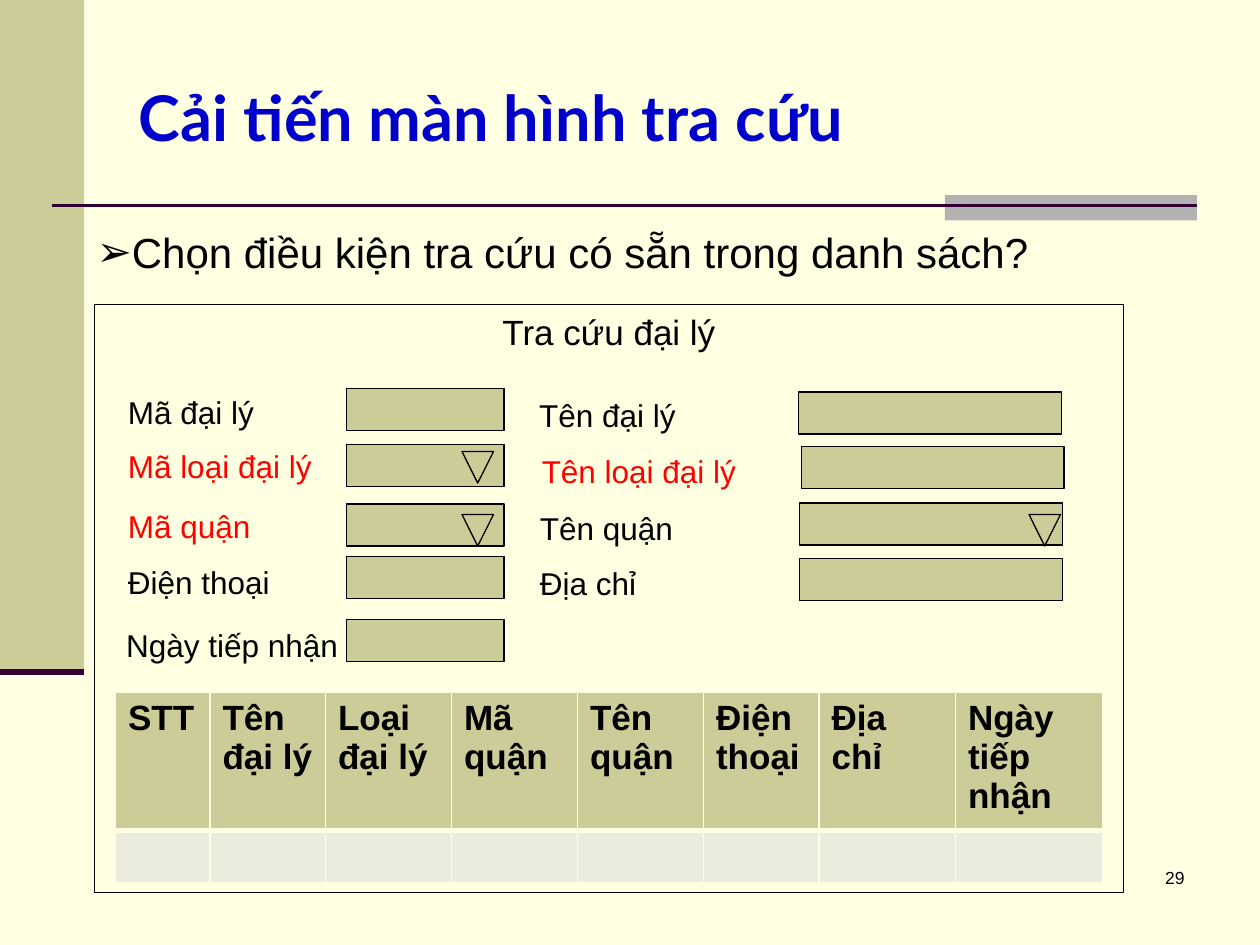
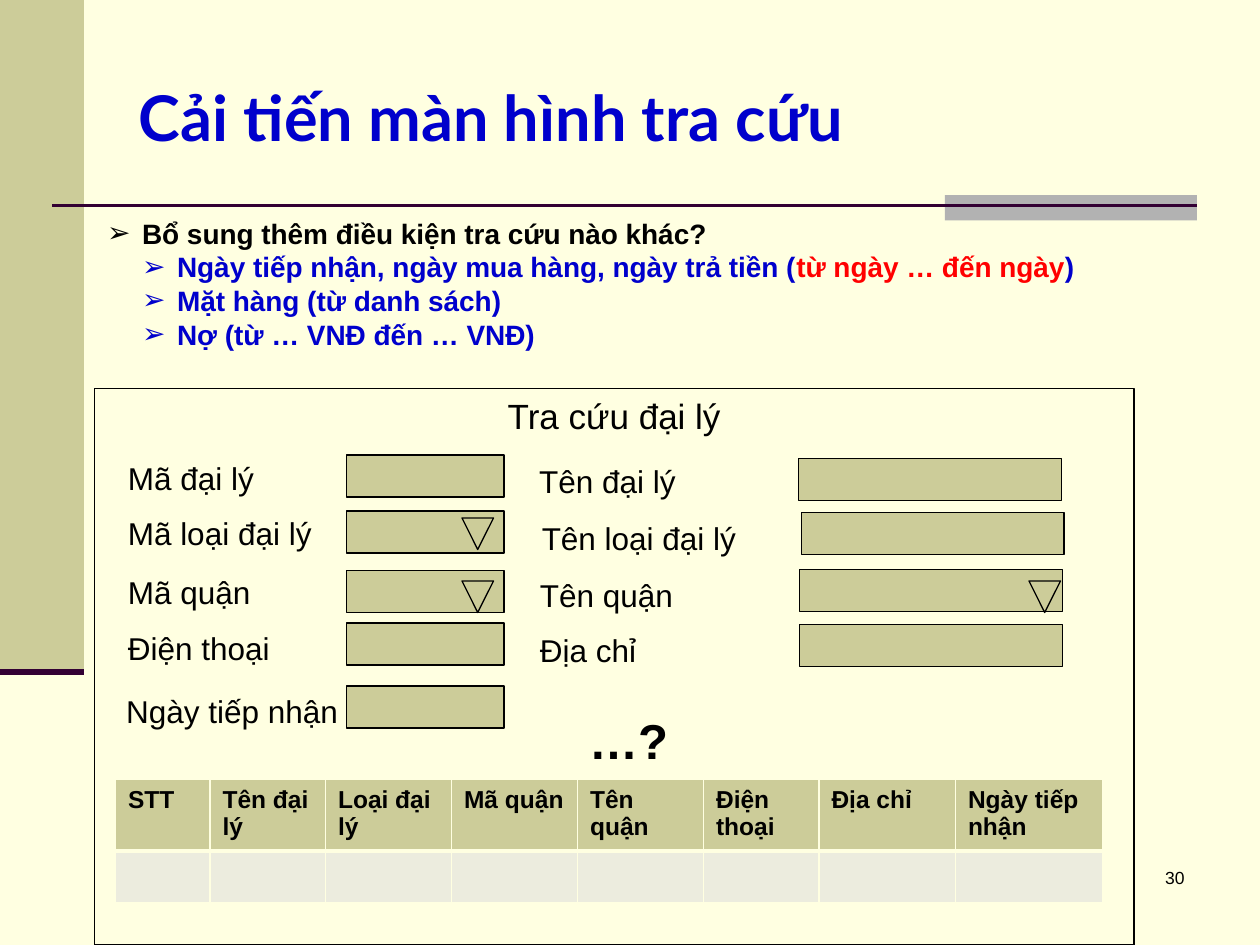
"""Build two slides on improving an agent lookup screen."""
import dataclasses
from typing import Any

import pptx
import pptx.dml.color
import pptx.enum.shapes
import pptx.enum.text
import pptx.oxml
import pptx.oxml.ns
import pptx.util

Pt = pptx.util.Pt
Kind = pptx.enum.shapes.MSO_SHAPE
Anchor = pptx.enum.text.MSO_ANCHOR
Align = pptx.enum.text.PP_ALIGN

COLORS = {
    "cream": "FFFFE1", "khaki": "CCCC99", "gray": "B2B2B2", "plum": "330033",
    "blue": "0000CC", "red": "FF0000", "black": "000000", "pale": "ECECDE",
}
TITLE_FORMAT = {"name": "Lato", "size": Pt(36), "bold": True}
HEADERS = ["STT", "Tên đại lý", "Loại đại lý", "Mã quận", "Tên quận",
           "Điện thoại", "Địa chỉ", "Ngày tiếp nhận"]
COLUMN_WIDTHS = [54, 66, 72, 72, 72, 66, 78, 84]
EMPTY_ROW_HEIGHT = 29.5
BULLET_INDENT = 20


@dataclasses.dataclass(frozen=True)
class Box:
    left: float
    top: float
    width: float
    height: float

    def lengths(self) -> list[int]:
        return [Pt(value) for value in dataclasses.astuple(self)]

    def lowered(self, distance: float) -> "Box":
        return dataclasses.replace(self, top=self.top + distance)


@dataclasses.dataclass(frozen=True)
class Field:
    label: str
    label_left: float
    label_top: float
    input_box: Box


@dataclasses.dataclass(frozen=True)
class Run:
    text: str
    color: str = "black"


@dataclasses.dataclass(frozen=True)
class Bullet:
    runs: list[Run]
    level: int = 0


@dataclasses.dataclass(frozen=True)
class Screen:
    number: int
    bullets: list[Bullet]
    bullet_box: Box
    bullet_size: float
    bullet_bold: bool
    panel: Box
    form_shift: float
    red_labels: tuple[str, ...]
    table_top: float
    header_height: float
    header_size: float


FIELDS = [
    Field("Mã đại lý", 66, 221, Box(198, 222, 90, 24)),
    Field("Mã loại đại lý", 66, 252, Box(198, 254, 90, 24)),
    Field("Mã quận", 66, 286, Box(198, 288, 90, 24)),
    Field("Điện thoại", 66, 318, Box(198, 318, 90, 24)),
    Field("Ngày tiếp nhận", 65, 354, Box(198, 354, 90, 24)),
    Field("Tên đại lý", 301, 222.5, Box(456.5, 224, 150, 24)),
    Field("Tên loại đại lý", 302.5, 255, Box(458, 255, 150, 24)),
    Field("Tên quận", 301.5, 287.5, Box(457, 287.5, 150, 24)),
    Field("Địa chỉ", 301.5, 319, Box(457, 319, 150, 24)),
]
DROPDOWN_ARROWS = [Box(264, 258, 18, 18), Box(264, 294, 18, 18), Box(588, 294, 18, 18)]

SCREENS = [
    Screen(
        29, [Bullet([Run("Chọn điều kiện tra cứu có sẵn trong danh sách?")])],
        Box(48, 126, 594, 36), 24, False, Box(54, 174, 588, 336), 0,
        ("Mã loại đại lý", "Tên loại đại lý", "Mã quận"), 395.5, 79, 20,
    ),
    Screen(
        30,
        [
            Bullet([Run("Bổ sung thêm điều kiện tra cứu nào khác?")]),
            Bullet([Run("Ngày tiếp nhận, ngày mua hàng, ngày trả tiền (", "blue"),
                    Run("từ ngày … đến ngày", "red"), Run(")", "blue")], 1),
            Bullet([Run("Mặt hàng (từ danh sách)", "blue")], 1),
            Bullet([Run("Nợ (từ … VNĐ đến … VNĐ)", "blue")], 1),
        ],
        Box(54, 120, 630, 85), 16, True, Box(54, 222, 594, 318), 38,
        (), 445.5, 40, 14,
    ),
]


def rgb(color: str) -> pptx.dml.color.RGBColor:
    return pptx.dml.color.RGBColor.from_string(COLORS[color])


def apply_format(target: Any, values: dict[str, Any]) -> None:
    for name, value in values.items():
        setattr(target, name, value)


def write_run(paragraph: Any, run: Run, values: dict[str, Any]) -> None:
    text_run = paragraph.add_run()
    text_run.text = run.text
    apply_format(text_run.font, values)
    text_run.font.color.rgb = rgb(run.color)


def arial(size: float, bold: bool = False) -> dict[str, Any]:
    return {"name": "Arial", "size": Pt(size), "bold": bold}


def add_block(slide: Any, box: Box, fill: str | None, outlined: bool = True,
              kind: Any = Kind.RECTANGLE) -> Any:
    shape = slide.shapes.add_shape(kind, *box.lengths())
    shape.shadow.inherit = False
    if fill:
        shape.fill.solid()
        shape.fill.fore_color.rgb = rgb(fill)
    else:
        shape.fill.background()
    if outlined:
        shape.line.color.rgb = rgb("black")
        shape.line.width = Pt(0.75)
    else:
        shape.line.fill.background()
    return shape


def add_rule(slide: Any, left: float, right: float, top: float, width: float) -> Any:
    connector = slide.shapes.add_connector(
        pptx.enum.shapes.MSO_CONNECTOR.STRAIGHT, Pt(left), Pt(top), Pt(right), Pt(top))
    connector.line.color.rgb = rgb("plum")
    connector.line.width = Pt(width)
    properties = connector.element.spPr
    properties.append(properties.makeelement(pptx.oxml.ns.qn("a:effectLst"), {}))
    return connector


def add_text(slide: Any, box: Box, run: Run, values: dict[str, Any],
             alignment: Any = Align.LEFT) -> None:
    frame = slide.shapes.add_textbox(*box.lengths()).text_frame
    frame.word_wrap = True
    frame.paragraphs[0].alignment = alignment
    write_run(frame.paragraphs[0], run, values)


def decorate_master(presentation: Any, slide: Any) -> None:
    master = presentation.slide_master
    master.background.fill.solid()
    master.background.fill.fore_color.rgb = rgb("cream")
    decorations = [
        add_block(slide, Box(0, 0, 48, 384), "khaki", False),
        add_block(slide, Box(540, 111.5, 144, 14.5), "gray", False),
        add_rule(slide, 30, 684, 117.5, 1.5),
        add_rule(slide, 0, 48, 384, 3.5),
    ]
    for position, shape in enumerate(decorations):
        shape.element.xpath(".//p:cNvPr")[0].set("id", str(100 + position))
        master.shapes.element.insert(2 + position, shape.element)


def place_text(placeholder: Any, box: Box, anchor: Any) -> Any:
    names = ("left", "top", "width", "height")
    apply_format(placeholder, dict(zip(names, box.lengths())))
    apply_format(placeholder.text_frame, {
        "word_wrap": True, "vertical_anchor": anchor,
        "auto_size": pptx.enum.text.MSO_AUTO_SIZE.NONE})
    return placeholder.text_frame


def fill_title(slide: Any) -> None:
    frame = place_text(slide.shapes.title, Box(72, 21.5, 612, 90), Anchor.MIDDLE)
    frame.paragraphs[0].alignment = Align.LEFT
    write_run(frame.paragraphs[0], Run("Cải tiến màn hình tra cứu", "blue"), TITLE_FORMAT)


def fill_bullets(slide: Any, screen: Screen) -> None:
    frame = place_text(slide.placeholders[1], screen.bullet_box, Anchor.TOP)
    for position, bullet in enumerate(screen.bullets):
        paragraph = frame.add_paragraph() if position else frame.paragraphs[0]
        paragraph.level = bullet.level
        properties = paragraph._p.get_or_add_pPr()
        properties.set("marL", str(Pt(BULLET_INDENT * (bullet.level + 1))))
        properties.set("indent", str(-Pt(BULLET_INDENT)))
        for tag, attribute, value in (("buFont", "typeface", "Arial"), ("buChar", "char", "➢")):
            properties.append(properties.makeelement(
                pptx.oxml.ns.qn(f"a:{tag}"), {attribute: value}))
        paragraph.space_before = Pt(0)
        for run in bullet.runs:
            write_run(paragraph, run, arial(screen.bullet_size, screen.bullet_bold))


def add_form(slide: Any, screen: Screen) -> None:
    panel_frame = add_block(slide, screen.panel, None).text_frame
    apply_format(panel_frame, {"word_wrap": False, "vertical_anchor": Anchor.TOP})
    panel_frame.paragraphs[0].alignment = Align.CENTER
    write_run(panel_frame.paragraphs[0], Run("Tra cứu đại lý"), arial(20))
    for field in FIELDS:
        color = "red" if field.label in screen.red_labels else "black"
        label_box = Box(field.label_left, field.label_top, 150, 29).lowered(screen.form_shift)
        add_text(slide, label_box, Run(field.label, color), arial(18))
        add_block(slide, field.input_box.lowered(screen.form_shift), "khaki")
    for arrow in DROPDOWN_ARROWS:
        add_block(slide, arrow.lowered(screen.form_shift), "khaki", kind=Kind.FLOWCHART_MERGE)


def format_cell(cell: Any, fill: str, bottom_width: float, top_width: float) -> None:
    properties = cell._tc.get_or_add_tcPr()
    for side, width in (("L", 1), ("R", 1), ("T", top_width), ("B", bottom_width)):
        properties.append(pptx.oxml.parse_xml(
            f'<a:ln{side} {pptx.oxml.ns.nsdecls("a")} w="{Pt(width)}"><a:solidFill>'
            f'<a:srgbClr val="{COLORS["cream"]}"/></a:solidFill></a:ln{side}>'))
    cell.fill.solid()
    cell.fill.fore_color.rgb = rgb(fill)


def add_results_table(slide: Any, screen: Screen) -> None:
    heights = [screen.header_height, EMPTY_ROW_HEIGHT]
    box = Box(66, screen.table_top, sum(COLUMN_WIDTHS), sum(heights))
    table = slide.shapes.add_table(2, len(HEADERS), *box.lengths()).table
    table.horz_banding = False
    for row, height in zip(table.rows, heights):
        row.height = Pt(height)
    for position, (header, width) in enumerate(zip(HEADERS, COLUMN_WIDTHS)):
        table.columns[position].width = Pt(width)
        header_cell = table.cell(0, position)
        format_cell(header_cell, "khaki", 3, 1)
        format_cell(table.cell(1, position), "pale", 1, 3)
        write_run(header_cell.text_frame.paragraphs[0], Run(header),
                  arial(screen.header_size, True))


def main() -> None:
    presentation = pptx.Presentation()
    apply_format(presentation, {"slide_width": Pt(720), "slide_height": Pt(540)})
    slides = [presentation.slides.add_slide(presentation.slide_layouts[1]) for _ in SCREENS]
    decorate_master(presentation, slides[0])
    for slide, screen in zip(slides, SCREENS):
        fill_title(slide)
        add_text(slide, Box(534, 492, 150, 36), Run(str(screen.number)), arial(10), Align.RIGHT)
        fill_bullets(slide, screen)
        add_form(slide, screen)
        add_results_table(slide, screen)
    add_text(slides[1], Box(330, 402.5, 96, 41), Run("…?"), arial(28, True))
    presentation.save("out.pptx")


if __name__ == "__main__":
    main()
